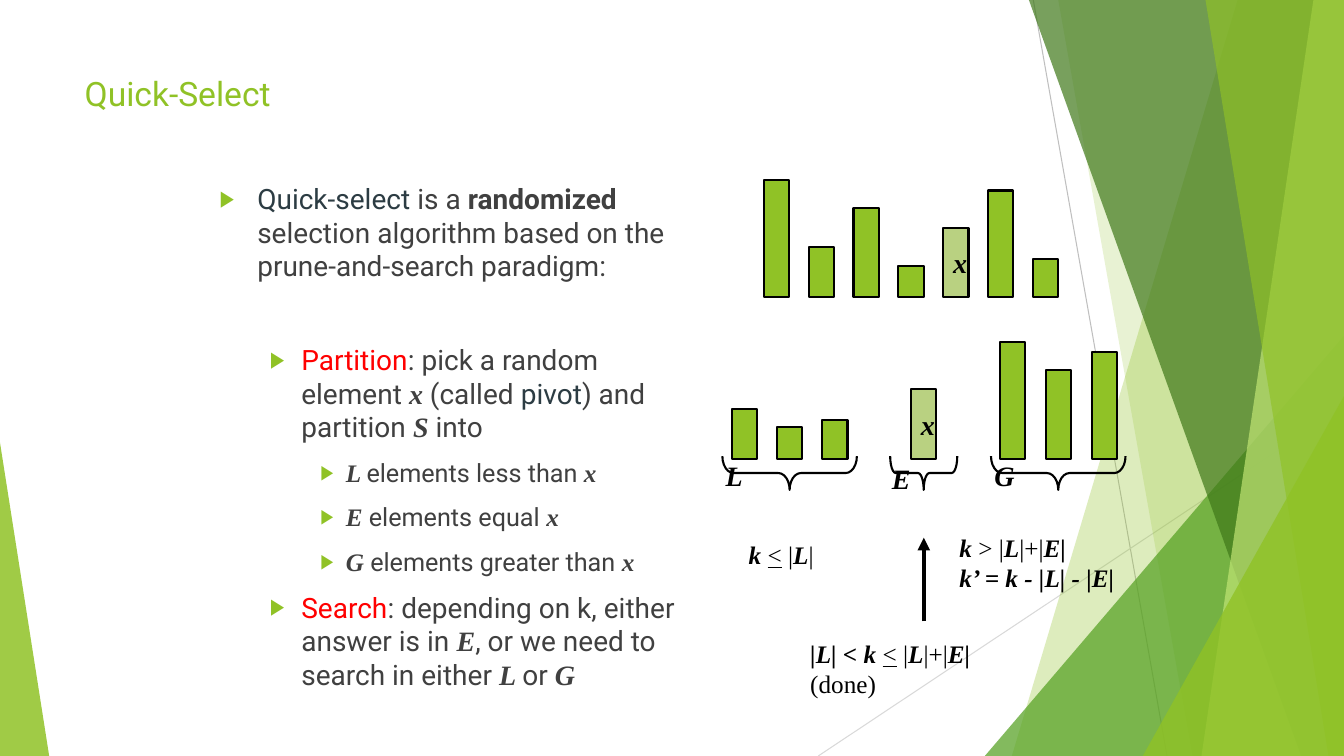
"""Build the Quick-Select slide: algorithm outline beside a partition diagram."""
from lxml import etree
from pptx import Presentation
from pptx import util as u
from pptx.dml.color import RGBColor
from pptx.enum import shapes, text
from pptx.oxml.ns import qn


class Theme:
    green, dark_green, leaf, lime = "90C226", "3F7819", "54A021", "C0E474"
    pivot, black, body, slate, red = "B9D181", "000000", "404040", "2C3C43", "FF0000"
    gray, light_gray = "BFBFBF", "D9D9D9"
    sans, serif = "Roboto", "Times New Roman"
    title_size, large, small = 24, 20, 18
    styles = {
        "plain": dict(name=sans),
        "strong": dict(name=sans, bold=True),
        "term": dict(name=sans, color=slate),
        "step": dict(name=sans, color=red),
        "var": dict(name=serif, bold=True, italic=True),
        "math": dict(name=serif),
        "under": dict(name=serif, underline=True),
    }


def add_runs(paragraph, runs, size, color):
    for style, words in runs:
        run = paragraph.add_run()
        run.text = words
        look = Theme.styles[style]
        run.font.name = look["name"]
        run.font.size = u.Pt(size)
        run.font.bold = look.get("bold", False)
        run.font.italic = look.get("italic", False)
        run.font.underline = look.get("underline", False)
        run.font.color.rgb = RGBColor.from_string(look.get("color", color))


def draw_line(slide, ends, color, width):
    line = slide.shapes.add_connector(shapes.MSO_CONNECTOR.STRAIGHT, *map(u.Cm, ends))
    line.line.color.rgb = RGBColor.from_string(color)
    line.line.width = u.Pt(width)
    etree.SubElement(line._element.spPr, qn("a:effectLst"))
    return line


deck = Presentation()
deck.slide_width, deck.slide_height = u.Cm(33.87), u.Cm(19.05)
slide = deck.slides.add_slide(deck.slide_layouts[1])
right, bottom = 33.87, 19.05

draw_line(slide, (26.04, 0, 29.41, bottom), Theme.gray, 0.75)
draw_line(slide, (right, 10.24, 20.62, bottom), Theme.light_gray, 0.75)

facets = [
    ("band", 31.19, 25.5, Theme.green, 30),
    ("band", 26.67, 30.05, Theme.green, 20),
    ("right corner", 24.82, 8.46, Theme.leaf, 72),
    ("band", 25.93, 32.79, Theme.dark_green, 70),
    ("band", 33.1, 30.28, Theme.lime, 70),
    ("band", 30.38, 33.48, Theme.green, 65),
    ("right corner", 28.8, 9.98, Theme.green, 80),
    ("left corner", 1.24, 11.15, Theme.green, 85),
]
for kind, first, second, color, opacity in facets:
    if kind == "band":
        outline = slide.shapes.build_freeform(u.Cm(first), 0)
        corners = [(right, 0), (right, bottom), (second, bottom)]
        outline.add_line_segments([(u.Cm(x), u.Cm(y)) for x, y in corners])
        facet = outline.convert_to_shape()
    else:
        on_right = kind == "right corner"
        left, width = (first, right - first) if on_right else (0, first)
        facet = slide.shapes.add_shape(
            shapes.MSO_SHAPE.ISOSCELES_TRIANGLE,
            u.Cm(left), u.Cm(second), u.Cm(width), u.Cm(bottom - second))
        facet.adjustments[0] = 1 if on_right else 0
    facet.shadow.inherit = False
    facet.fill.solid()
    facet.fill.fore_color.rgb = RGBColor.from_string(color)
    facet.line.fill.background()
    tint = facet._element.spPr.find(".//" + qn("a:srgbClr"))
    etree.SubElement(tint, qn("a:alpha"), val=str(opacity * 1000))

title, outline_box = slide.placeholders
title.left, title.top, title.width, title.height = map(u.Cm, (1.88, 1.7, 23.88, 3.66))
title.text_frame.vertical_anchor = text.MSO_ANCHOR.TOP
title.text_frame.auto_size = text.MSO_AUTO_SIZE.NONE
heading = title.text_frame.paragraphs[0]
heading.alignment = text.PP_ALIGN.LEFT
add_runs(heading, [("plain", "Quick-Select")], Theme.title_size, Theme.green)

outline_box.left, outline_box.top, outline_box.width, outline_box.height = map(
    u.Cm, (5.28, 4.45, 12.5, 12.7))
outline_box.text_frame.auto_size = text.MSO_AUTO_SIZE.NONE
points = [
    (0, 0, [("term", "Quick-select"), ("plain", " is a "), ("strong", "randomized"),
            ("plain", " selection algorithm based on the prune-and-search paradigm:")]),
    (1, 43, [("step", "Partition"), ("plain", ": pick a random element "), ("var", "x"),
             ("plain", " (called "), ("term", "pivot"), ("plain", ") and partition "),
             ("var", "S"), ("plain", " into")]),
    (2, 10, [("var", "L "), ("plain", "elements less than "), ("var", "x")]),
    (2, 10, [("var", "E "), ("plain", "elements equal "), ("var", "x")]),
    (2, 10, [("var", "G "), ("plain", "elements greater than "), ("var", "x")]),
    (1, 10, [("step", "Search"), ("plain", ": depending on k, either answer is in "),
             ("var", "E"), ("plain", ", or we need to search in either "),
             ("var", "L "), ("plain", "or "), ("var", "G")]),
]
indents = [(0.95, -0.95), (2.06, -0.79), (3.18, -0.64)]
for number, (level, gap, runs) in enumerate(points):
    frame = outline_box.text_frame
    point = frame.add_paragraph() if number else frame.paragraphs[0]
    point.level = level
    point.space_before = u.Pt(gap)
    props = point._p.get_or_add_pPr()
    margin, hanging = indents[level]
    props.set("marL", str(u.Cm(margin)))
    props.set("indent", str(u.Cm(hanging)))
    bullet_color = etree.SubElement(props, qn("a:buClr"))
    etree.SubElement(bullet_color, qn("a:srgbClr"), val=Theme.green)
    etree.SubElement(props, qn("a:buSzPct"), val="80000")
    etree.SubElement(props, qn("a:buChar"), char="▶")
    add_runs(point, runs, Theme.small if level == 2 else Theme.large, Theme.body)

pivot_height = 1.75
bar_rows = [
    (19.25, 7.49, 1.13, [2.95, 1.26, 2.24, 0.79, pivot_height, 2.69, 0.97]),
    (18.44, 11.56, 1.14, [1.26, 0.79, 0.97]),
    (22.96, 11.56, 0, [pivot_height]),
    (25.2, 11.56, 1.16, [2.95, 2.24, 2.69]),
]
for start, base, step, heights in bar_rows:
    for column, height in enumerate(heights):
        bar = slide.shapes.add_shape(
            shapes.MSO_SHAPE.RECTANGLE, u.Cm(start + column * step),
            u.Cm(base - height), u.Cm(0.64), u.Cm(height))
        is_pivot = height == pivot_height
        bar.shadow.inherit = False
        bar.fill.solid()
        bar.fill.fore_color.rgb = RGBColor.from_string(
            Theme.pivot if is_pivot else Theme.green)
        bar.line.color.rgb = RGBColor.from_string(Theme.black)
        bar.line.width = u.Pt(1.5)
        if is_pivot:
            bar.text_frame.word_wrap = False
            pivot_name = bar.text_frame.paragraphs[0]
            pivot_name.alignment = text.PP_ALIGN.LEFT
            add_runs(pivot_name, [("var", "x")], Theme.large, Theme.black)

brace_depth, brace_middle = 0.85, 11.92
for name, center, span, curl in [("L", 19.9, 3.39, 0.333), ("G", 26.67, 3.39, 0.333),
                                 ("E", 23.28, 1.69, 0.167)]:
    brace = slide.shapes.add_shape(
        shapes.MSO_SHAPE.LEFT_BRACE, u.Cm(center - brace_depth / 2),
        u.Cm(brace_middle - span / 2), u.Cm(brace_depth), u.Cm(span))
    brace.rotation = 270
    brace.adjustments[0] = curl
    brace.shadow.inherit = False
    brace.fill.background()
    brace.line.color.rgb = RGBColor.from_string(Theme.black)
    brace.line.width = u.Pt(1.5)
    frame = brace.text_frame
    frame.word_wrap = False
    frame.vertical_anchor = text.MSO_ANCHOR.TOP
    frame.margin_left, frame.margin_right = u.Cm(0.25), u.Cm(1.52)
    frame.margin_top = frame.margin_bottom = 0
    frame._txBody.bodyPr.set("vert", "eaVert")
    frame.paragraphs[0].alignment = text.PP_ALIGN.LEFT
    add_runs(frame.paragraphs[0], [("var", name)], Theme.large, Theme.black)

cases = [
    ((18.62, 13.46, 2.16, 1.02),
     [[("var", "k "), ("under", "<"), ("math", " |"), ("var", "L"), ("math", "|")]]),
    ((20.17, 15.95, 4.6, 1.8),
     [[("var", "|L| < k "), ("under", "<"), ("math", " |"), ("var", "L"),
       ("math", "|+|"), ("var", "E|")], [("math", "(done)")]]),
    ((23.93, 13.28, 4.47, 1.8),
     [[("var", "k "), ("math", "> |"), ("var", "L"), ("math", "|+|"), ("var", "E|")],
      [("var", "k’ = k - |L| - |E|")]]),
]
for place, lines in cases:
    frame = slide.shapes.add_textbox(*map(u.Cm, place)).text_frame
    frame.word_wrap = False
    frame.auto_size = text.MSO_AUTO_SIZE.SHAPE_TO_FIT_TEXT
    frame.vertical_anchor = text.MSO_ANCHOR.MIDDLE
    for number, runs in enumerate(lines):
        line = frame.add_paragraph() if number else frame.paragraphs[0]
        add_runs(line, runs, Theme.small, Theme.black)

done_arrow = draw_line(slide, (23.28, 15.66, 23.28, 13.55), Theme.black, 3)
etree.SubElement(done_arrow.line._get_or_add_ln(), qn("a:tailEnd"), type="triangle")

deck.save("out.pptx")
